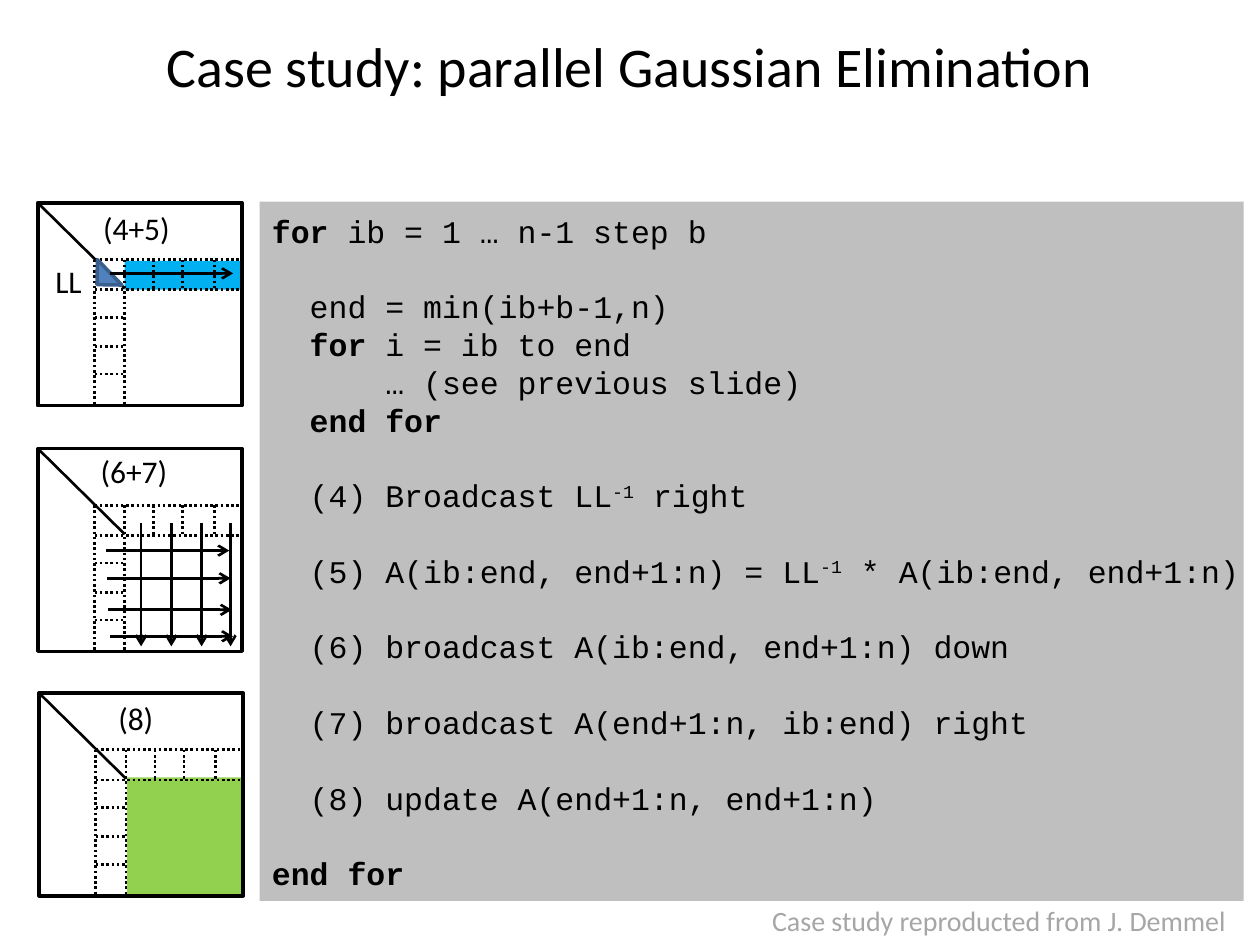
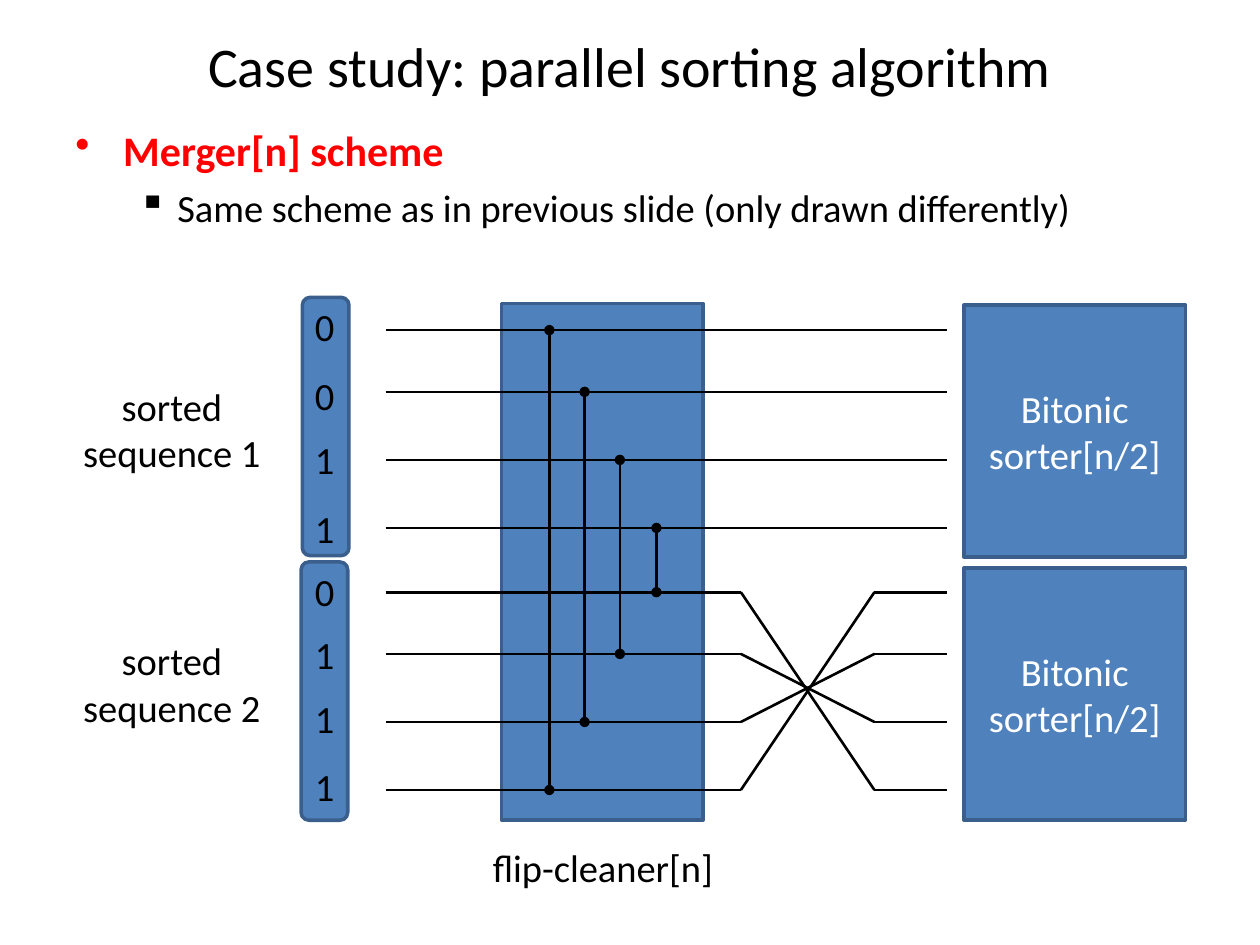
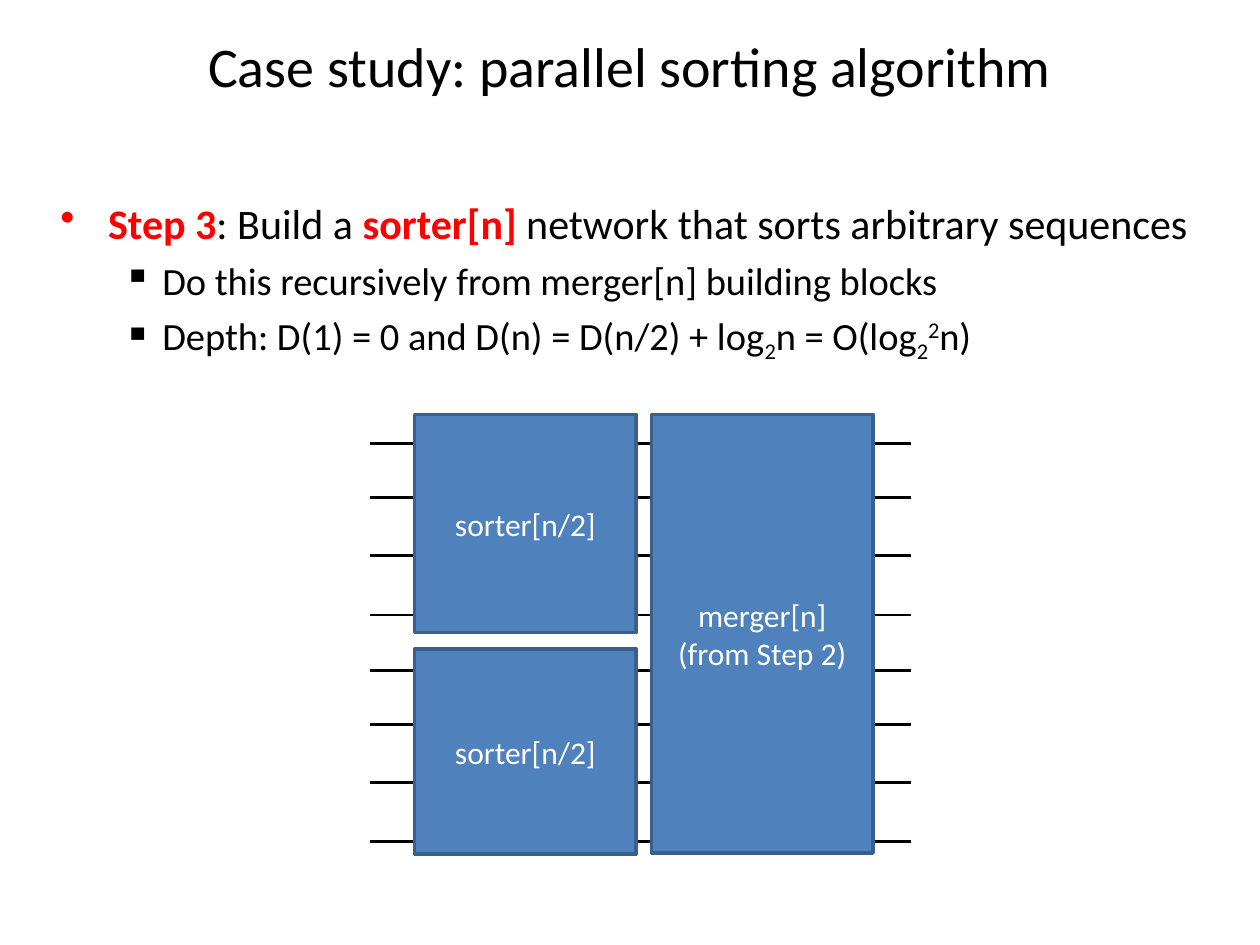
from lxml import etree
from pptx import Presentation
from pptx.dml.color import RGBColor
from pptx.enum.dml import MSO_LINE
from pptx.enum.shapes import MSO_CONNECTOR, MSO_SHAPE
from pptx.enum.text import MSO_ANCHOR, PP_ALIGN
from pptx.oxml.ns import qn
from pptx.util import Pt

PX = 9144  # 100 px to the inch
COLORS = {"black": "000000", "white": "FFFFFF", "red": "FF0000", "blue": "4F81BD",
          "edge": "3A5F8C", "row": "00B0F0", "block": "92D050",
          "code": "BFBFBF", "credit": "A6A6A6"}
RGB = {name: RGBColor.from_string(value) for name, value in COLORS.items()}
RECT, ROUND, TRIANGLE = MSO_SHAPE.RECTANGLE, MSO_SHAPE.ROUNDED_RECTANGLE, MSO_SHAPE.ISOSCELES_TRIANGLE
STRAIGHT, DOTTED = MSO_CONNECTOR.STRAIGHT, MSO_LINE.ROUND_DOT
LEFT, CENTER = PP_ALIGN.LEFT, PP_ALIGN.CENTER
TOP, MIDDLE = MSO_ANCHOR.TOP, MSO_ANCHOR.MIDDLE
BASELINES = {"sup": "30000", "sub": "-25000"}
BULLETS = [("•", 38, -38, 24), ("▪", 81, -31, 22)]  # mark, margin, indent, text size


def add_box(slide, box, lines=(), size=18, color="black", align=LEFT, anchor=TOP, kind=None,
            fill=None, border=None, wrap=False, inset=(10, 5, 10, 5), font="Calibri", levels=()):
    """Add a text box, or a shape if kind is given; a line is a string or (text, style) runs."""
    place = [v * PX for v in box]
    if kind is None:
        shape = slide.shapes.add_textbox(*place)
    else:
        shape = slide.shapes.add_shape(kind, *place)
        shape.shadow.inherit = False
        if fill:
            shape.fill.solid()
            shape.fill.fore_color.rgb = RGB[fill]
        else:
            shape.fill.background()
        if border:
            shape.line.color.rgb = RGB[border]
            shape.line.width = Pt(2)
        else:
            shape.line.fill.background()
    frame = shape.text_frame
    frame.word_wrap, frame.vertical_anchor = wrap, anchor
    frame.margin_left, frame.margin_top, frame.margin_right, frame.margin_bottom = [v * PX for v in inset]
    for index, line in enumerate(lines):
        paragraph = frame.add_paragraph() if index else frame.paragraphs[0]
        paragraph.alignment = align
        if levels:
            mark, margin, indent, size = BULLETS[levels[index]]
            paragraph.level = levels[index]
            properties = paragraph._p.get_or_add_pPr()
            properties.set("marL", str(margin * PX))
            properties.set("indent", str(indent * PX))
            etree.SubElement(properties, qn("a:buChar"), char=mark)
            if index:
                paragraph.space_before = Pt(5)
        paragraph.font.name, paragraph.font.size = font, Pt(size)
        paragraph.font.color.rgb = RGB[color]
        runs = [(line, "")] if isinstance(line, str) else line
        for text, style in runs:
            run = paragraph.add_run()
            run.text = text
            target = paragraph.font if len(runs) == 1 else run.font
            if style in ("bold", "key"):
                target.bold = True
            if style == "key":
                target.color.rgb = RGB["red"]
            if style in BASELINES:
                run._r.get_or_add_rPr().set("baseline", BASELINES[style])
    return shape


def add_line(slide, x1, y1, x2, y2, dash=None, head=None, tail=None):
    line = slide.shapes.add_connector(STRAIGHT, x1 * PX, y1 * PX, x2 * PX, y2 * PX)
    line.line.color.rgb = RGB["black"]
    line.line.width = Pt(1.5)
    if dash:
        line.line.dash_style = dash
    for end, mark in (("a:headEnd", head), ("a:tailEnd", tail)):
        if mark:
            etree.SubElement(line.line._get_or_add_ln(), qn(end), type=mark)
    etree.SubElement(line._element.spPr, qn("a:effectLst"))


prs = Presentation()
prs.slide_width, prs.slide_height = 1000 * PX, 750 * PX

# Shared titles
slides = []
for title in ["Case study: parallel Gaussian Elimination"] + ["Case study: parallel sorting algorithm"] * 2:
    slide = prs.slides.add_slide(prs.slide_layouts[6])
    add_box(slide, (50, 17, 900, 70), [title], 32, align=CENTER, anchor=MIDDLE, wrap=True)
    slides.append(slide)
elimination, merger, sorter = slides

# Slide 1: pseudocode, with a gap before the lines marked True
code = [
    (False, [("for ", "bold"), ("ib = 1 … n-1 step b", "")]),
    (True, "  end = min(ib+b-1,n)"),
    (False, [("  ", ""), ("for ", "bold"), ("i = ib to end", "")]),
    (False, "      … (see previous slide)"),
    (False, [("  ", ""), ("end for", "bold")]),
    (True, [("  (4) Broadcast LL", ""), ("-1", "sup"), (" right", "")]),
    (True, [("  (5) A(ib:end, end+1:n) = LL", ""), ("-1", "sup"), (" * A(ib:end, end+1:n)", "")]),
    (True, "  (6) broadcast A(ib:end, end+1:n) down"),
    (True, "  (7) broadcast A(end+1:n, ib:end) right"),
    (True, "  (8) update A(end+1:n, end+1:n)"),
    (True, [("end for", "bold")]),
]
listing = add_box(elimination, (206, 160, 781, 555), [line for _, line in code], kind=RECT,
                  fill="code", wrap=True, inset=(10, 8, 0, 0), font="Courier New")
for paragraph, (gap, _) in zip(listing.text_frame.paragraphs, code):
    paragraph.line_spacing = Pt(21.6)
    if gap:
        paragraph.space_before = Pt(21.6)
add_box(elimination, (603, 712, 397, 37), ["Case study reproducted from J. Demmel"], 16, "credit")

# Slide 1: three matrices, each with the current block row and column
add_box(elimination, (99, 207, 93, 23), kind=RECT, fill="row")
add_box(elimination, (101, 617, 92, 94), kind=RECT, fill="block")
for x, y in [(30, 161), (30, 356), (31, 550)]:
    add_box(elimination, (x, y, 162, 161), kind=RECT, border="black")
    add_line(elimination, x, y, x + 69, y + 68)
    for edge in (45, 69):
        add_line(elimination, x + 45, y + edge, x + 162, y + edge, DOTTED)
        add_line(elimination, x + edge, y + 45, x + edge, y + 161, DOTTED)
    for row, column in [(91, 92), (114, 115), (136, 140)]:
        add_line(elimination, x + 45, y + row, x + 69, y + row, DOTTED)
        add_line(elimination, x + column, y + 45, x + column, y + 68, DOTTED)

# Slide 1: step labels, LL triangle and broadcast arrows
for box, label in [((72, 161, 74, 40), "(4+5)"), ((70, 354, 74, 40), "(6+7)"),
                   ((84, 550, 48, 40), "(8)"), ((34, 203, 42, 40), "LL")]:
    add_box(elimination, box, [label])
add_box(elimination, (68, 214, 28, 14), kind=TRIANGLE, fill="blue", border="edge").rotation = 226
for x, y in [(87, 217), (84, 437), (85, 459), (86, 484), (87, 505)]:
    add_line(elimination, x, y, x + 98, y, tail="arrow")
for x in (112, 136, 160, 183):
    add_line(elimination, x, 415, x, 513, tail="arrow")

# Slide 2: text, flip-cleaner and the two input sequences
add_box(merger, (50, 94, 900, 101),
        [[("Merger[n] scheme", "key")], "Same scheme as in previous slide (only drawn differently)"],
        wrap=True, levels=(0, 1))
add_box(merger, (398, 241, 160, 410), kind=RECT, fill="blue", border="edge")
add_box(merger, (380, 665, 197, 47), ["flip-cleaner[n]"], 22, align=CENTER)
for number, x, y, label_y, sorter_y in [(1, 240, 236, 299, 242), (2, 239, 446, 501, 451)]:
    add_box(merger, (x, y, 37, 205), kind=ROUND, fill="blue", border="edge")
    add_box(merger, (55, label_y, 163, 84), ["sorted", f"sequence {number}"], 22, align=CENTER)
    add_box(merger, (765, sorter_y, 176, 200), ["Bitonic sorter[n/2]"], 22, "white", CENTER, MIDDLE,
            RECT, "blue", "edge", wrap=True)
for bit, y in zip("00110111", (236, 290, 341, 396, 446, 496, 547, 601)):
    add_box(merger, (240, y, 36, 47), [bit], 22)

# Slide 2: wires, the lower four crossing over, and comparators
merge_wires = [start + step for start in (262, 470) for step in (0, 49, 103, 157)]
for index, y in enumerate(merge_wires):
    if index < 4:
        add_line(merger, 306, y, 752, y)
        x = 436 + index * 85 // 3
        add_line(merger, x, y, x, merge_wires[7 - index], head="oval", tail="oval")
    else:
        add_line(merger, 306, y, 588, y)
        add_line(merger, 588, y, 694, merge_wires[11 - index])
        add_line(merger, 694, y, 752, y)

# Slide 3: text
add_box(sorter, (38, 152, 925, 160), [
    [("Step 3", "key"), (": Build a ", ""), ("sorter[n]", "key"),
     (" network that sorts arbitrary sequences", "")],
    "Do this recursively from merger[n] building blocks",
    [("Depth: D(1) = 0 and D(n) = D(n/2) + log", ""), ("2", "sub"), ("n = O(log", ""),
     ("2", "sub"), ("2", "sup"), ("n)", "")],
], wrap=True, levels=(0, 1, 1))

# Slide 3: wires running behind the recursive blocks
for start in (352, 532):
    for step in (0, 43, 89, 136):
        add_line(sorter, 294, start + step, 723, start + step)
for box, lines in [((517, 329, 176, 348), ["merger[n]", "(from Step 2)"]),
                   ((329, 329, 176, 173), ["sorter[n/2]"]),
                   ((329, 515, 176, 163), ["sorter[n/2]"])]:
    add_box(sorter, box, lines, 18, "white", CENTER, MIDDLE, RECT, "blue", "edge",
            wrap=True, inset=(0, 0, 0, 0))

prs.save("out.pptx")
